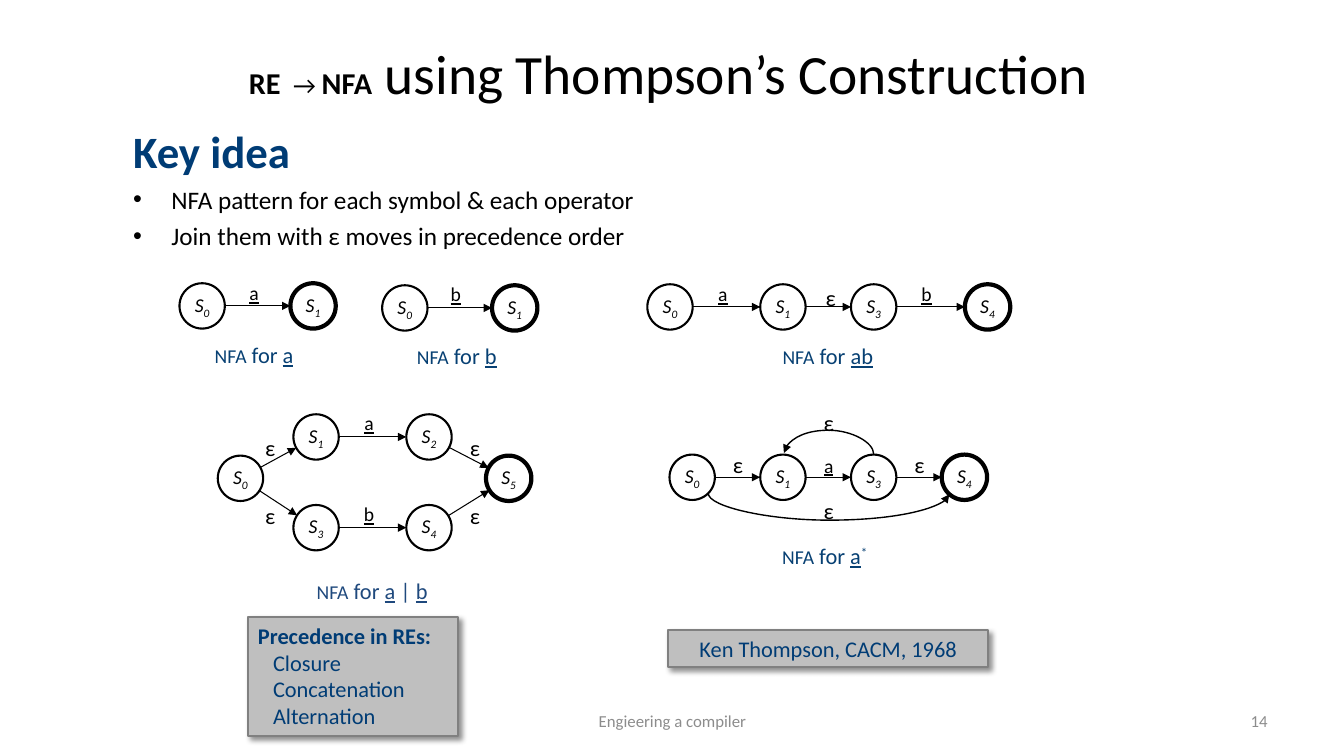
"""Builds the slide on Thompson's construction of NFAs from REs."""
from math import hypot

from lxml.etree import SubElement
from pptx import Presentation
from pptx.dml.color import RGBColor
from pptx.enum.shapes import MSO_CONNECTOR as Link, MSO_SHAPE as Preset
from pptx.enum.text import MSO_ANCHOR as Anchor, MSO_AUTO_SIZE as Fit, PP_ALIGN as Align
from pptx.oxml.ns import qn
from pptx.util import Pt

EMU_PER_PX = 9144
FONT = "Calibri"
BLACK, NAVY, BLUE, SLATE = "000000", "003C75", "074073", "1F497D"
SILVER, GREY, FOOTER = "BFBFBF", "808080", "8C8C8C"
STATE_SIZE = 45

AUTOMATA = [
    dict(states={0: (178, 281), 1: (288, 281)}, final=1,
         edges=[(0, 1, "a", 252, 274)],
         caption=(252, 334, BLUE, [("a", True)])),
    dict(states={0: (379, 283), 1: (488, 283)}, final=1,
         edges=[(0, 1, "b", 452, 275)],
         caption=(453, 335, BLUE, [("b", True)])),
    dict(states={0: (642, 282), 1: (754, 282), 3: (844, 282), 4: (957, 282)}, final=4,
         edges=[(0, 1, "a", 717, 275), (1, 3, "ε", 824, 277), (3, 4, "b", 919, 275)],
         caption=(821, 335, BLUE, [("ab", True)])),
    dict(states={0: (216, 452), 1: (291, 411), 2: (403, 411),
                 3: (291, 501), 4: (403, 501), 5: (482, 452)}, final=5,
         edges=[(0, 1, "ε", 268, 426), (0, 3, "ε", 268, 493), (1, 2, "a", 366, 403),
                (3, 4, "b", 366, 493), (2, 5, "ε", 471, 426), (4, 5, "ε", 471, 493)],
         caption=(369, 568, SLATE, [("a", True), (" | ", False), ("b", True)])),
    dict(states={0: (664, 451), 1: (754, 451), 3: (844, 451), 4: (934, 451)}, final=4,
         edges=[(0, 1, "ε", 732, 443), (1, 3, "a", 822, 445), (3, 4, "ε", 912, 443)],
         loops=[(866, 777, 450, 24, "tailEnd", 401), (941, 702, 490, -26, "headEnd", 488)],
         caption=(818, 533, BLUE, [("a", True), ("*", False)])),
]


def px(length):
    """Turn px into EMU."""
    return round(length * EMU_PER_PX)


def color(value):
    """Turn a hex string into a colour."""
    return RGBColor.from_string(value)


def style(font, size, value, bold=False, italic=False, underline=False):
    """Set every property of a font."""
    font.name, font.size, font.color.rgb = FONT, Pt(size), color(value)
    font.bold, font.italic, font.underline = bold, italic, underline


def add_span(para, text, baseline=0):
    """Append a run, raised or lowered by a percentage."""
    span = para.add_run()
    span.text = text
    if baseline:
        span.font._element.set("baseline", str(baseline * 1000))
    return span


def place(shape, left, top, width, height):
    """Move and size a shape."""
    shape.left, shape.top, shape.width, shape.height = map(px, (left, top, width, height))


def add_text(shapes, left, top, width, height, align=Align.CENTER, anchor=Anchor.TOP):
    """Add a wrapping text box and return its paragraph."""
    frame = shapes.add_textbox(*map(px, (left, top, width, height))).text_frame
    frame.word_wrap, frame.vertical_anchor = True, anchor
    para = frame.paragraphs[0]
    para.alignment = align
    return para


def add_state(shapes, number, left, top, final):
    """Add a circle with its numbered state name."""
    circle = shapes.add_shape(Preset.OVAL, *map(px, (left, top, STATE_SIZE, STATE_SIZE)))
    circle.shadow.inherit = False
    circle.fill.background()
    circle.line.color.rgb, circle.line.width = color(BLACK), Pt(3 if final else 1.5)
    frame = circle.text_frame
    frame.word_wrap, frame.vertical_anchor = False, Anchor.MIDDLE
    para = frame.paragraphs[0]
    para.alignment = Align.CENTER
    style(para.font, 14, BLACK, italic=True)
    add_span(para, "S")
    add_span(para, str(number), -25)


def finish_arrow(arrow, width, end):
    """Draw a black line with a triangle at one end and no shadow."""
    arrow.line.color.rgb, arrow.line.width = color(BLACK), Pt(width)
    SubElement(arrow.line._get_or_add_ln(), qn(f"a:{end}"), type="triangle")
    SubElement(arrow.element.spPr, qn("a:effectLst"))


def add_edge(shapes, start, end):
    """Add a straight arrow from rim to rim of two states."""
    radius = STATE_SIZE / 2
    run, rise = end[0] - start[0], end[1] - start[1]
    reach = radius / hypot(run, rise)
    x1, y1 = start[0] + radius + run * reach, start[1] + radius + rise * reach
    x2, y2 = end[0] + radius - run * reach, end[1] + radius - rise * reach
    finish_arrow(shapes.add_connector(Link.STRAIGHT, *map(px, (x1, y1, x2, y2))), 0.75, "tailEnd")


def add_loop(shapes, right, left, level, bulge, end):
    """Add an arc from right to left that bulges upwards by some px."""
    arrow = shapes.add_connector(Link.CURVE, 0, 0, 0, 0)
    span = right - left
    place(arrow, (left + right) / 2, level - span / 2, 1, span)
    frame = arrow.element.spPr.find(qn("a:xfrm"))
    frame.set("rot", str(270 * 60000))
    frame.set("flipV", "1")
    guides = arrow.element.spPr.find(qn("a:prstGeom")).find(qn("a:avLst"))
    SubElement(guides, qn("a:gd"), name="adj1", fmla=f"val {bulge * 100000}")
    finish_arrow(arrow, 1, end)


def add_label(shapes, symbol, center, top):
    """Add the symbol of a move, underlined unless it is empty."""
    para = add_text(shapes, center - 20, top, 40, 35)
    add_span(para, symbol)
    is_empty = symbol == "ε"
    style(para.font, 16 if is_empty else 14, BLACK, underline=not is_empty)


def add_caption(shapes, center, top, value, expression):
    """Add the caption that names the expression."""
    para = add_text(shapes, center - 71, top, 142, 37)
    style(add_span(para, "NFA").font, 14, value)
    for text, underline in [(" for ", False), *expression]:
        span = add_span(para, text, 30 if text == "*" else 0)
        style(span.font, 16, value, underline=underline)


def add_automaton(page, states, final, edges, caption, loops=()):
    """Add a group with states, moves and caption."""
    shapes = page.shapes.add_group_shape().shapes
    for number, (left, top) in states.items():
        add_state(shapes, number, left, top, number == final)
    for start, end, symbol, center, top in edges:
        add_edge(shapes, states[start], states[end])
        add_label(shapes, symbol, center, top)
    for right, left, level, bulge, end, top in loops:
        add_loop(shapes, right, left, level, bulge, end)
        add_label(shapes, "ε", 822, top)
    add_caption(shapes, *caption)


def add_panel(page, left, top, width, height, lines, align):
    """Add a grey panel with a shadow; the first of several lines is a heading."""
    panel = page.shapes.add_shape(Preset.RECTANGLE, *map(px, (left, top, width, height)))
    panel.fill.solid()
    panel.fill.fore_color.rgb = color(SILVER)
    panel.line.color.rgb, panel.line.width = color(GREY), Pt(1.5)
    panel.shadow.inherit = False
    shadow = SubElement(panel.element.spPr.find(qn("a:effectLst")), qn("a:outerShdw"),
                        blurRad=str(Pt(4)), dist=str(Pt(3)), dir=str(45 * 60000))
    tint = SubElement(shadow, qn("a:srgbClr"), val=BLACK)
    SubElement(tint, qn("a:alpha"), val="43000")
    frame = panel.text_frame
    frame.vertical_anchor = Anchor.TOP
    for index, line in enumerate(lines):
        para = frame.add_paragraph() if index else frame.paragraphs[0]
        para.alignment = align
        add_span(para, line)
        style(para.font, 16, NAVY, bold=len(lines) > 1 and index == 0)
        if index:
            para._p.get_or_add_pPr().set("marL", str(px(15)))


def fill_title(title):
    """Write the title in mixed sizes."""
    place(title, 213, 9, 900, 125)
    title.text_frame.auto_size = Fit.NONE
    para = title.text_frame.paragraphs[0]
    for text, size, bold in [("RE", 21.6, True), (" ", 39.6, False), ("→ ", 18, False),
                             ("NFA", 21.6, True), (" ", 39.6, True),
                             ("using Thompson’s Construction", 39.6, False)]:
        style(add_span(para, text).font, size, BLACK, bold)


def fill_body(body):
    """Write the heading and its two bullets."""
    place(body, 122, 118, 992, 495)
    frame = body.text_frame
    frame.auto_size = Fit.NONE
    for index, text in enumerate(["Key idea", "NFA pattern for each symbol & each operator",
                                  "Join them with ε moves in precedence order"]):
        para = frame.add_paragraph() if index else frame.paragraphs[0]
        add_span(para, text)
        style(para.font, 18 if index else 32, BLACK if index else NAVY, bold=not index)
        para.space_before = Pt(4.5 if index else 9.6)
        props = para._p.get_or_add_pPr()
        props.set("marL", str(px(38)))
        props.set("indent", str(px(-38)))
        if index:
            SubElement(props, qn("a:buChar"), char="•")
        else:
            SubElement(props, qn("a:buNone"))
        props.append(props.find(qn("a:defRPr")))


def main():
    """Build and save the slide."""
    deck = Presentation()
    deck.slide_width, deck.slide_height = px(1333), px(750)
    page = deck.slides.add_slide(deck.slide_layouts[1])
    fill_title(page.shapes.title)
    fill_body(page.placeholders[1])
    for automaton in AUTOMATA:
        add_automaton(page, **automaton)
    add_panel(page, 663, 625, 317, 37, ["Ken Thompson, CACM, 1968"], Align.CENTER)
    add_panel(page, 246, 612, 208, 118,
              ["Precedence in REs:", "Closure", "Concatenation", "Alternation"], Align.LEFT)
    for text, left, width, align in [("14", 956, 311, Align.RIGHT),
                                     ("Engieering a compiler", 456, 422, Align.CENTER)]:
        para = add_text(page.shapes, left, 695, width, 40, align, Anchor.MIDDLE)
        add_span(para, text)
        style(para.font, 12, FOOTER)
    deck.save("out.pptx")


if __name__ == "__main__":
    main()
